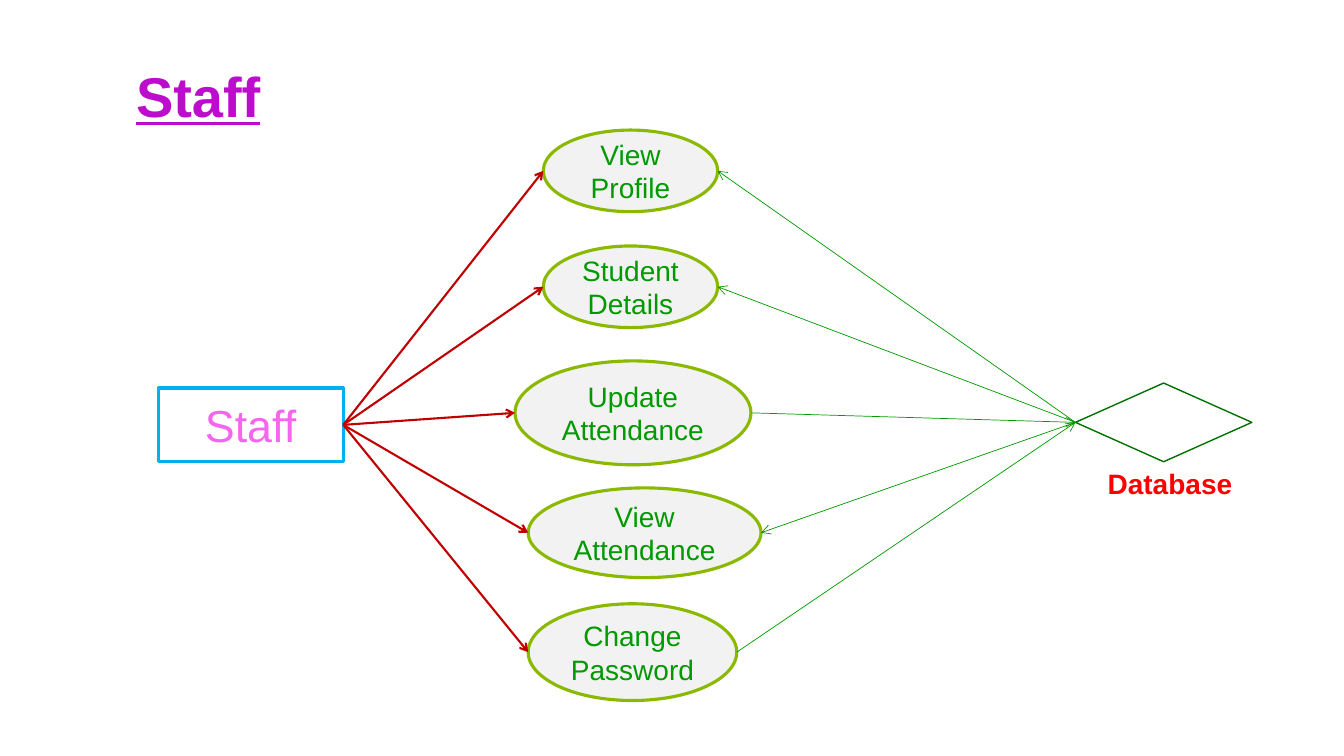
from pptx import Presentation
from pptx import util as u
from pptx.dml.color import RGBColor
from pptx.enum import shapes, text
from pptx.oxml.ns import qn
from lxml import etree

PURPLE = RGBColor(0xBC, 0x0C, 0xCC)
PINK = RGBColor(0xF7, 0x65, 0xEF)
SKY = RGBColor(0x00, 0xB0, 0xF0)
WHITE = RGBColor(0xFF, 0xFF, 0xFF)
PALE = RGBColor(0xF2, 0xF2, 0xF2)
LIME = RGBColor(0x8A, 0xB9, 0x00)
GREEN = RGBColor(0x00, 0x99, 0x00)
DARK_GREEN = RGBColor(0x00, 0x71, 0x00)
DARK_RED = RGBColor(0xC0, 0x00, 0x00)
RED = RGBColor(0xFF, 0x00, 0x00)

# Content: boxes are (left, top, width, height) in points
TITLE = ("Staff", (90, 28.8, 804.2, 78.5))
ACTOR = ("Staff", (113, 277.2, 132.2, 52.6))
STORE = (768.2, 273.6, 126, 56.2)
STORE_LABEL = ("Database", (784.1, 329.8, 110.2, 31.7))
READ, WRITE = "from database", "to database"
USE_CASES = [
    ("View Profile", (388.1, 92.9, 124.6, 58.3), READ),
    ("Student Details", (388.1, 175.7, 124.6, 58.3), READ),
    ("Update Attendance", (367.9, 257.8, 168.5, 74.2), WRITE),
    ("View Attendance", (377.3, 348.5, 166.3, 64.1), READ),
    ("Change Password", (377.3, 431.3, 149, 69.1), WRITE),
]

# Formats
TITLE_FONT = dict(size=u.Pt(40), bold=True, underline=True)
ACTOR_FONT = dict(size=u.Pt(32))
CASE_FONT = dict(size=u.Pt(20))
LABEL_FONT = dict(size=u.Pt(20), bold=True)


def points(values):
    return [u.Pt(v) for v in values]


def left_end(box):
    return box[0], box[1] + box[3] / 2


def right_end(box):
    return box[0] + box[2], box[1] + box[3] / 2


def write(frame, words, color, style, align, anchor):
    frame.word_wrap = True
    frame.vertical_anchor = anchor
    paragraph = frame.paragraphs[0]
    paragraph.alignment = align
    run = paragraph.add_run()
    run.text = words
    for name, value in dict(style, name="Arial").items():
        setattr(run.font, name, value)
    run.font.color.rgb = color


def add_node(kind, box, fill, outline, weight):
    node = slide.shapes.add_shape(kind, *points(box))
    node.shadow.inherit = False
    node.fill.solid()
    node.fill.fore_color.rgb = fill
    node.line.color.rgb = outline
    node.line.width = u.Pt(weight)
    return node


def add_arrow(start, end, color, weight):
    arrow = slide.shapes.add_connector(
        shapes.MSO_CONNECTOR.STRAIGHT, *points(start + end))
    arrow.line.color.rgb = color
    arrow.line.width = u.Pt(weight)
    etree.SubElement(arrow.line._get_or_add_ln(), qn("a:tailEnd"), type="arrow")
    etree.SubElement(arrow._element.spPr, qn("a:effectLst"))


deck = Presentation()
deck.slide_width, deck.slide_height = points((960, 540))
slide = deck.slides.add_slide(deck.slide_layouts[5])
LEFT, CENTER = text.PP_ALIGN.LEFT, text.PP_ALIGN.CENTER
TOP, MIDDLE = text.MSO_ANCHOR.TOP, text.MSO_ANCHOR.MIDDLE

# Title
heading, heading_box = TITLE
title = slide.shapes.title
title.left, title.top, title.width, title.height = points(heading_box)
write(title.text_frame, heading, PURPLE, TITLE_FONT, LEFT, MIDDLE)

# Staff box, use cases and database
actor_name, actor_box = ACTOR
actor = add_node(shapes.MSO_SHAPE.RECTANGLE, actor_box, WHITE, SKY, 2.25)
write(actor.text_frame, actor_name, PINK, ACTOR_FONT, CENTER, MIDDLE)
for case_name, case_box, flow in USE_CASES:
    case = add_node(shapes.MSO_SHAPE.OVAL, case_box, PALE, LIME, 2.25)
    write(case.text_frame, case_name, GREEN, CASE_FONT, CENTER, MIDDLE)
add_node(shapes.MSO_SHAPE.DIAMOND, STORE, WHITE, DARK_GREEN, 1)

# Arrows from staff to each use case, and between use case and database
for case_name, case_box, flow in USE_CASES:
    add_arrow(right_end(actor_box), left_end(case_box), DARK_RED, 1.5)
    ends = [right_end(case_box), left_end(STORE)]
    if flow == READ:
        ends.reverse()
    add_arrow(*ends, GREEN, 0.5)

# Database label
label_name, label_box = STORE_LABEL
label = slide.shapes.add_textbox(*points(label_box))
write(label.text_frame, label_name, RED, LABEL_FONT, LEFT, TOP)

deck.save("out.pptx")
